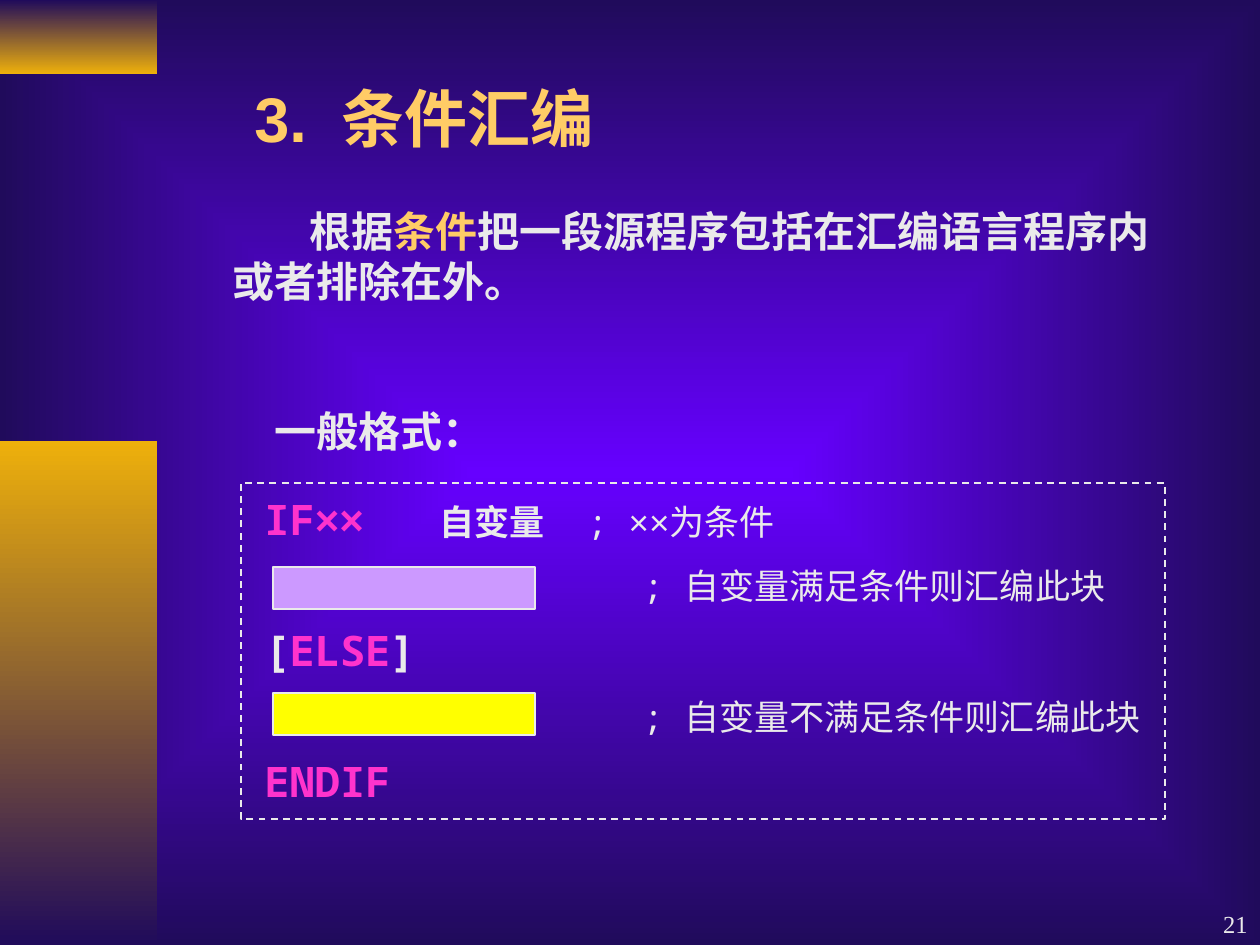
from lxml.etree import SubElement
from pptx import Presentation
from pptx.dml.color import RGBColor
from pptx.enum.dml import MSO_LINE
from pptx.enum.shapes import MSO_SHAPE
from pptx.enum.text import MSO_ANCHOR, PP_ALIGN
from pptx.oxml.ns import qn
from pptx.util import Emu, Pt

SCALE = 914400 / 126
COLORS = {
    "center": "6600FF", "edge": "200B5B", "gold": "EEB00B", "title": "FFCC66",
    "text": "EAEAEA", "keyword": "FF33CC", "if_block": "CC99FF", "else_block": "FFFF00",
}
MONO, SANS, SERIF, CJK = "Noto Sans Mono", "Arial", "Times New Roman", "Noto Sans CJK SC"
TITLE = {"size": 36, "name": SANS, "bold": True, "color": "title"}
BODY = {"size": 24, "name": SERIF, "bold": True, "color": "text"}
CODE = {**BODY, "name": MONO}
KEYWORD = {**CODE, "color": "keyword"}
NOTE = {**CODE, "size": 20, "bold": False}


def px(length):
    """Turn pixels into EMU."""
    return Emu(round(length * SCALE))


def color(name):
    """Look up a named colour."""
    return RGBColor.from_string(COLORS[name])


def set_gradient(fill, names):
    """Give a fill a two-stop gradient."""
    fill.gradient()
    for stop, name in zip(fill.gradient_stops, names):
        stop.color.rgb = color(name)


def add_span(para, text, style, tracking=0):
    """Append one styled run, with extra tracking in points."""
    span = para.add_run()
    span.text = text
    values = {**style, "size": Pt(style["size"])}
    span.font.color.rgb = color(values.pop("color"))
    for key, value in values.items():
        setattr(span.font, key, value)
    properties = span.font._element
    SubElement(properties, qn("a:ea"), typeface=CJK)
    if tracking:
        properties.set("spc", str(round(tracking * 100)))


def add_text(page, box, paras, anchor=MSO_ANCHOR.TOP, **layout):
    """Add a wrapped text box of paragraphs, each an indent and its runs."""
    frame = page.shapes.add_textbox(*map(px, box)).text_frame
    frame.word_wrap = True
    frame.vertical_anchor = anchor
    for index, (indent, spans) in enumerate(paras):
        para = frame.add_paragraph() if index else frame.paragraphs[0]
        for key, value in layout.items():
            setattr(para, key, value)
        para._p.get_or_add_pPr().set("indent", str(px(indent)))
        for span in spans:
            add_span(para, *span)
    return frame


def add_rectangle(page, box, fill=None, line=None):
    """Add a rectangle with optional solid fill and one-point outline."""
    shape = page.shapes.add_shape(MSO_SHAPE.RECTANGLE, *map(px, box))
    shape.shadow.inherit = False
    shape.fill.background()
    shape.line.fill.background()
    if fill:
        shape.fill.solid()
        shape.fill.fore_color.rgb = color(fill)
    if line:
        shape.line.color.rgb = color(line)
        shape.line.width = Pt(1)
    return shape


def add_background(page):
    """Fill the page with a gradient that glows from its centre."""
    fill = page.background.fill
    set_gradient(fill, ("center", "edge"))
    gradient = page._element.find(".//" + qn("a:gradFill"))
    gradient.remove(gradient.find(qn("a:lin")))
    glow = SubElement(gradient, qn("a:path"), path="rect")
    SubElement(glow, qn("a:fillToRect"), dict.fromkeys("ltrb", "50000"))


def add_sidebar(page, box):
    """Add the two gold bars at the left edge."""
    left, top, width, height = box
    bars = ((0, 74, ("edge", "gold")), (441, height - 441, ("gold", "edge")))
    for offset, length, names in bars:
        bar = add_rectangle(page, (left, top + offset, width, length))
        set_gradient(bar.fill, names)
        bar.fill.gradient_angle = 270


def add_introduction(page, box):
    """Add the title, the explanation and the format label."""
    left, top, width, height = box
    add_text(page, (left + 22, top, 646, 88),
             [(0, [("3.", TITLE), (" ", TITLE, 10), ("条件汇编", TITLE)])])
    add_text(page, (left, top + 126, width, 113), [(77, [
        ("根据", BODY),
        ("条件", {**BODY, "color": "title"}),
        ("把一段源程序包括在汇编语言程序内或者排除在外。", BODY),
    ])], space_before=Pt(15))
    add_text(page, (left + 42, top + height - 63, 466, 63),
             [(0, [("一般", BODY), ("格式：", {**BODY, "name": CJK})])])


def add_code_panel(page, box):
    """Add the dashed panel with the conditional syntax and its two blocks."""
    left, top, width, height = box
    frame = add_text(page, (left + 11, top - 11, width, height + 4), [
        (0, [("IF", KEYWORD), ("××", {**KEYWORD, "name": SANS}), (" ", CODE, 28.8),
             ("自变量", {**CODE, "size": 20}), (" ", CODE, 18.5), ("; ", NOTE),
             ("××", {**NOTE, "name": SANS}), ("为条件", NOTE)]),
        (378, [("; 自变量满足条件则汇编此块", NOTE)]),
        (0, [("[", CODE), ("ELSE", KEYWORD), ("]", CODE)]),
        (378, [("; 自变量不满足条件则汇编此块", NOTE)]),
        (0, [("ENDIF", KEYWORD)]),
    ], line_spacing=1.3)
    for para in frame.paragraphs[1::2]:
        para.space_before, para.space_after = Pt(5), Pt(1.2)
    add_rectangle(page, box, line="text").line.dash_style = MSO_LINE.DASH
    for row, name in enumerate(("if_block", "else_block")):
        add_rectangle(page, (left + 32, top + 84 + 126 * row, 262, 42), name, "text")


def add_page_number(page, box):
    """Add the page number in the lower right corner."""
    style = {"size": 14, "name": SERIF, "bold": False, "color": "text"}
    add_text(page, box, [(0, [("21", style)])], anchor=MSO_ANCHOR.BOTTOM,
             alignment=PP_ALIGN.RIGHT)


def main():
    """Build and save the slide."""
    deck = Presentation()
    deck.slide_width, deck.slide_height = px(1260), px(945)
    page = deck.slides.add_slide(deck.slide_layouts[6])
    add_background(page)
    add_sidebar(page, (0, 0, 157, 945))
    add_introduction(page, (220, 73, 967, 389))
    add_code_panel(page, (241, 483, 924, 336))
    add_page_number(page, (998, 882, 262, 63))
    deck.save("out.pptx")


if __name__ == "__main__":
    main()
